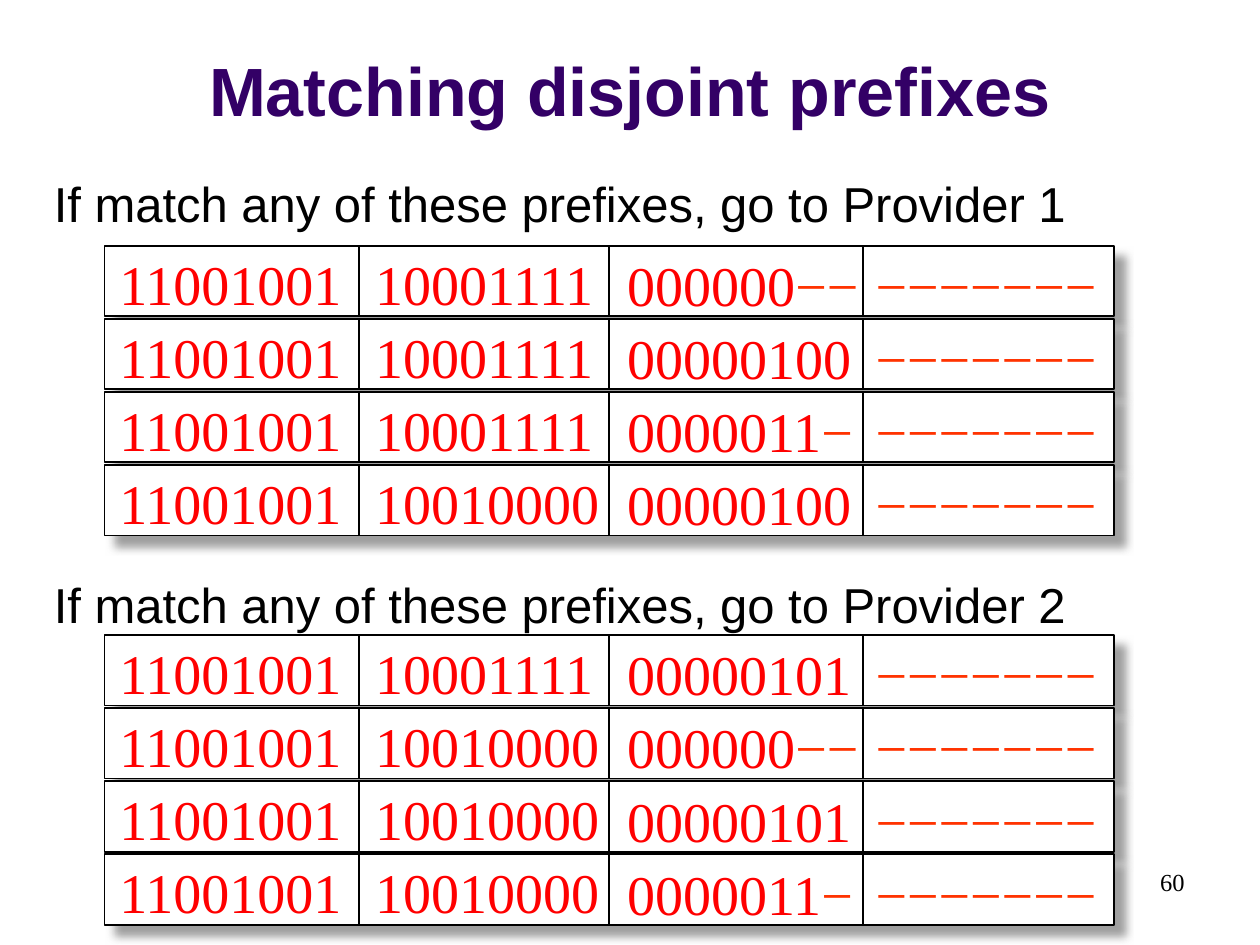
import lxml.etree
import pptx
import pptx.dml.color
import pptx.enum.shapes
import pptx.enum.text
import pptx.oxml
import pptx.oxml.ns
import pptx.util
from pptx.util import Inches

COLORS = {
    "title": "330066",
    "text": "000000",
    "bits": "FF0000",
    "wildcard": "FF3300",
    "row": "FFFFFF",
    "shadow": "808080",
}
SANS, SERIF = "Arial", "Times New Roman"
ROW_LEFT, ROW_WIDTH, ROW_HEIGHT, ROW_PITCH = 0.83, 8.01, 0.56, 0.58
SIDE_DIVIDERS = (2.85, 6.85)
CELLS = ((0.85, -0.02), (2.88, -0.02), (4.88, -0.01), (6.85, -0.01))
FIRST_OCTET, LAST_OCTET = "11001001", "−−−−−−−"
PROVIDERS = (
    ("If match any of these prefixes, go to Provider 1", 1.33, 1.95, (
        ("10001111", "000000−−"),
        ("10001111", "00000100"),
        ("10001111", "0000011−"),
        ("10010000", "00000100"),
    )),
    ("If match any of these prefixes, go to Provider 2", 4.51, 5.04, (
        ("10001111", "00000101"),
        ("10010000", "000000−−"),
        ("10010000", "00000101"),
        ("10010000", "0000011−"),
    )),
)


def rgb(name):
    return pptx.dml.color.RGBColor.from_string(COLORS[name])


def style_span(span, size, font, color, bold=False):
    span.font.size = pptx.util.Pt(size)
    span.font.name = font
    span.font.bold = bold
    span.font.color.rgb = rgb(color)


def add_text(shapes, text, left, top, width, height, size, font, color, align="LEFT", bold=False):
    box = shapes.add_textbox(Inches(left), Inches(top), Inches(width), Inches(height))
    frame = box.text_frame
    frame.word_wrap = True
    frame.text = text
    para = frame.paragraphs[0]
    para.alignment = getattr(pptx.enum.text.PP_ALIGN, align)
    style_span(para.runs[0], size, font, color, bold)
    return box


def add_octet(shapes, octet, left, top):
    bits = octet.rstrip("−")
    wildcards = octet[len(bits):]
    width = 2 + 0.03 * len(wildcards) if bits else 1.98
    box = shapes.add_textbox(Inches(left), Inches(top), Inches(width), Inches(0.64))
    frame = box.text_frame
    frame.word_wrap = False
    frame.auto_size = pptx.enum.text.MSO_AUTO_SIZE.SHAPE_TO_FIT_TEXT
    for text, color in ((bits, "bits"), (wildcards, "wildcard")):
        if text:
            span = frame.paragraphs[0].add_run()
            span.text = text
            style_span(span, 32, SERIF, color)


def add_shadow(shape):
    shape.shadow.inherit = False
    effects = shape.element.spPr.find(pptx.oxml.ns.qn("a:effectLst"))
    effects.append(pptx.oxml.parse_xml(
        f'<a:outerShdw {pptx.oxml.ns.nsdecls("a")} blurRad="{pptx.util.Pt(5)}" '
        f'dist="{pptx.util.Pt(8.5)}" dir="2700000" algn="tl" rotWithShape="0">'
        f'<a:srgbClr val="{COLORS["shadow"]}"><a:alpha val="75000"/></a:srgbClr></a:outerShdw>'
    ))


def add_divider(shapes, x, top):
    line = shapes.add_connector(
        pptx.enum.shapes.MSO_CONNECTOR.STRAIGHT,
        Inches(x), Inches(top), Inches(x), Inches(top + ROW_HEIGHT),
    )
    line.line.color.rgb = rgb("text")
    line.line.width = pptx.util.Pt(1)
    lxml.etree.SubElement(line.element.spPr, pptx.oxml.ns.qn("a:effectLst"))
    return line


def add_prefix_row(page, octets, top):
    shapes = page.shapes.add_group_shape().shapes
    frame = shapes.add_shape(
        pptx.enum.shapes.MSO_SHAPE.RECTANGLE,
        Inches(ROW_LEFT), Inches(top), Inches(ROW_WIDTH), Inches(ROW_HEIGHT),
    )
    frame.fill.solid()
    frame.fill.fore_color.rgb = rgb("row")
    frame.line.color.rgb = rgb("text")
    frame.line.width = pptx.util.Pt(1)
    add_shadow(frame)
    middle = add_divider(shapes, ROW_LEFT + ROW_WIDTH / 2, top)
    middle.begin_connect(frame, 0)
    middle.end_connect(frame, 2)
    for x in SIDE_DIVIDERS:
        add_divider(shapes, x, top)
    for octet, (left, offset) in zip(octets, CELLS):
        add_octet(shapes, octet, left, top + offset)


def main():
    deck = pptx.Presentation()
    deck.slide_width, deck.slide_height = Inches(10), Inches(7.5)
    page = deck.slides.add_slide(deck.slide_layouts[6])
    title = add_text(page.shapes, "Matching disjoint prefixes", 0, 0.13, 10, 0.95,
                     39, SANS, "title", "CENTER", True)
    title.text_frame.vertical_anchor = pptx.enum.text.MSO_ANCHOR.BOTTOM
    add_text(page.shapes, "60", 7.17, 6.83, 2.33, 0.5, 14, SERIF, "text", "RIGHT")
    for heading, heading_top, rows_top, prefixes in PROVIDERS:
        for index, prefix in enumerate(prefixes):
            octets = (FIRST_OCTET, *prefix, LAST_OCTET)
            add_prefix_row(page, octets, rows_top + index * ROW_PITCH)
        add_text(page.shapes, heading, 0.33, heading_top, 8.83, 0.57, 28, SANS, "text")
    deck.save("out.pptx")


if __name__ == "__main__":
    main()
